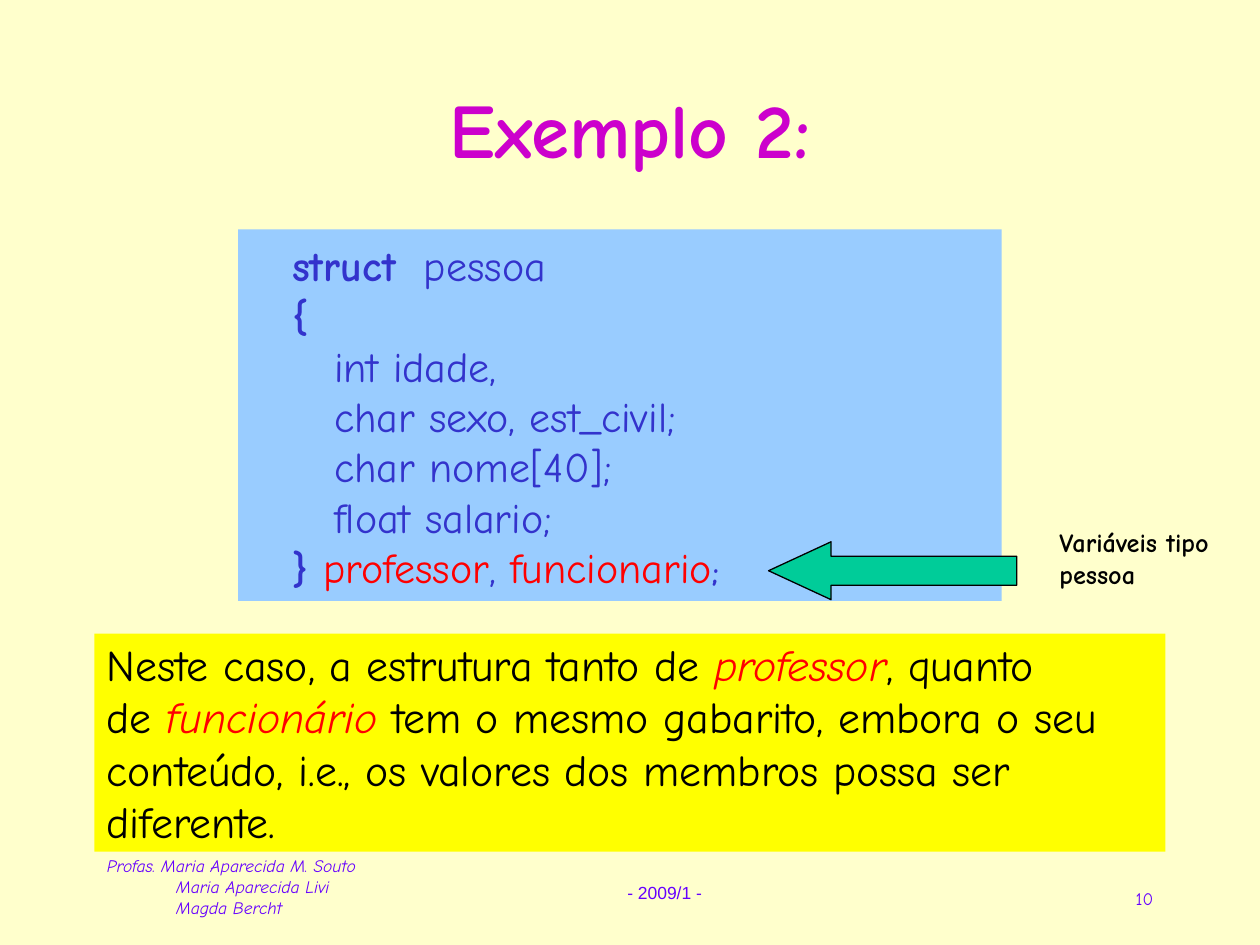
"""Build the slide on struct variables of one type."""
import pptx
import pptx.util
from pptx.dml.color import RGBColor
from pptx.enum.shapes import MSO_SHAPE
from pptx.enum.text import MSO_ANCHOR, PP_ALIGN

COLORS = {"paper": "FFFFCC", "title": "CC00CC", "panel": "99CCFF", "code": "3333CC",
          "name": "FF0000", "note": "FFFF00", "text": "000000", "footer": "6600FF",
          "arrow": "00CC99"}
FONT = "Comic Neue"
MARGIN, CONTENT_WIDTH = 0.75, 8.5

TITLE = "Exemplo 2:"
BOLD = {"bold": True}
RED = {"color": "name"}
RED_ITALIC = {"color": "name", "italic": True}
CODE = [
    [("struct", BOLD), ("  pessoa", {})],
    [("{", BOLD)],
    [("   int idade,", {})],
    [("   char sexo, est_civil;", {})],
    [("   char nome[40];", {})],
    [("   float salario;", {})],
    [("} ", BOLD), ("professor", RED), (", ", {}), ("funcionario", RED),
     (";", {"bold": True, "size": 18})],
]
NOTE = [
    [("Neste caso, a estrutura tanto de ", {}), ("professor", RED_ITALIC), (", quanto", {})],
    [("de ", {}), ("funcionário", RED_ITALIC), (" tem o mesmo gabarito, embora o seu", {})],
    [("conteúdo, i.e., os valores dos membros possa ser", {})],
    [("diferente.", {})],
]
LABEL = [[("Variáveis tipo", {})], [("pessoa", {})]]
AUTHORS = [[("Profas. Maria Aparecida M. Souto", {})], [("Maria Aparecida Livi", {})],
           [("Magda Bercht", {})]]
TERM = [[("- 2009/1 -", {})]]
PAGE_NUMBER = [[("10", {})]]


def rgb(key):
    return RGBColor.from_string(COLORS[key])


def inches(*values):
    return [pptx.util.Inches(value) for value in values]


def style(font, size=None, color=None, bold=None, italic=None, name=None):
    if size:
        font.size = pptx.util.Pt(size)
    if color:
        font.color.rgb = rgb(color)
    if name:
        font.name = name
    if bold is not None:
        font.bold = bold
    if italic is not None:
        font.italic = italic


def write(box, lines, size, color, name=FONT, align=PP_ALIGN.LEFT, wrap=True, **look):
    frame = box.text_frame
    frame.word_wrap = wrap
    for index, line in enumerate(lines):
        para = frame.paragraphs[0] if index == 0 else frame.add_paragraph()
        para.alignment = align
        style(para.font, size, color, name=name, **look)
        for text, changes in line:
            span = para.add_run()
            span.text = text
            style(span.font, **changes)
    return frame


def add_text(page, place, lines, size, color, **look):
    box = page.shapes.add_textbox(*inches(*place))
    return write(box, lines, size, color, **look)


def add_block(page, kind, place, fill, line=None):
    shape = page.shapes.add_shape(kind, *inches(*place))
    shape.shadow.inherit = False
    shape.fill.solid()
    shape.fill.fore_color.rgb = rgb(fill)
    if line:
        shape.line.color.rgb = rgb(line)
        shape.line.width = pptx.util.Pt(0.75)
    else:
        shape.line.fill.background()
    return shape


def main():
    deck = pptx.Presentation()
    deck.slide_width, deck.slide_height = inches(10, 7.5)
    page = deck.slides.add_slide(deck.slide_layouts[5])
    page.background.fill.solid()
    page.background.fill.fore_color.rgb = rgb("paper")

    title = page.shapes.title
    title.left, title.top, title.width, title.height = inches(MARGIN, 0.39, CONTENT_WIDTH, 1.25)
    frame = write(title, [[(TITLE, {})]], 44, "title", align=PP_ALIGN.CENTER, bold=True)
    frame.vertical_anchor = MSO_ANCHOR.MIDDLE

    authors = add_text(page, (MARGIN, 6.74, 2.62, 0.6), AUTHORS, 10, "footer", italic=True)
    for para in authors.paragraphs[1:]:
        para._p.get_or_add_pPr().set("marL", str(pptx.util.Inches(0.55)))
    add_text(page, (4.88, 6.95, 0.79, 0.27), TERM, 10, "footer", name="Arial", wrap=False)
    add_text(page, (7.17, 7, 2.08, 0.33), PAGE_NUMBER, 10, "footer", align=PP_ALIGN.RIGHT)

    add_block(page, MSO_SHAPE.RECTANGLE, (1.89, 1.82, 6.06, 2.95), "panel")
    add_text(page, (2.22, 1.85, 3.59, 2.9), CODE, 24, "code", wrap=False)

    note = add_block(page, MSO_SHAPE.RECTANGLE, (MARGIN, 5.03, CONTENT_WIDTH, 1.73), "note")
    write(note, NOTE, 25, "text").vertical_anchor = MSO_ANCHOR.MIDDLE

    arrow = add_block(page, MSO_SHAPE.LEFT_ARROW, (6.1, 4.3, 1.97, 0.46), "arrow", "text")
    arrow.adjustments[0], arrow.adjustments[1] = 0.5, 1.08
    add_text(page, (8.31, 4.13, 1.47, 0.6), LABEL, 15, "text", wrap=False, bold=True)

    deck.save("out.pptx")


if __name__ == "__main__":
    main()
